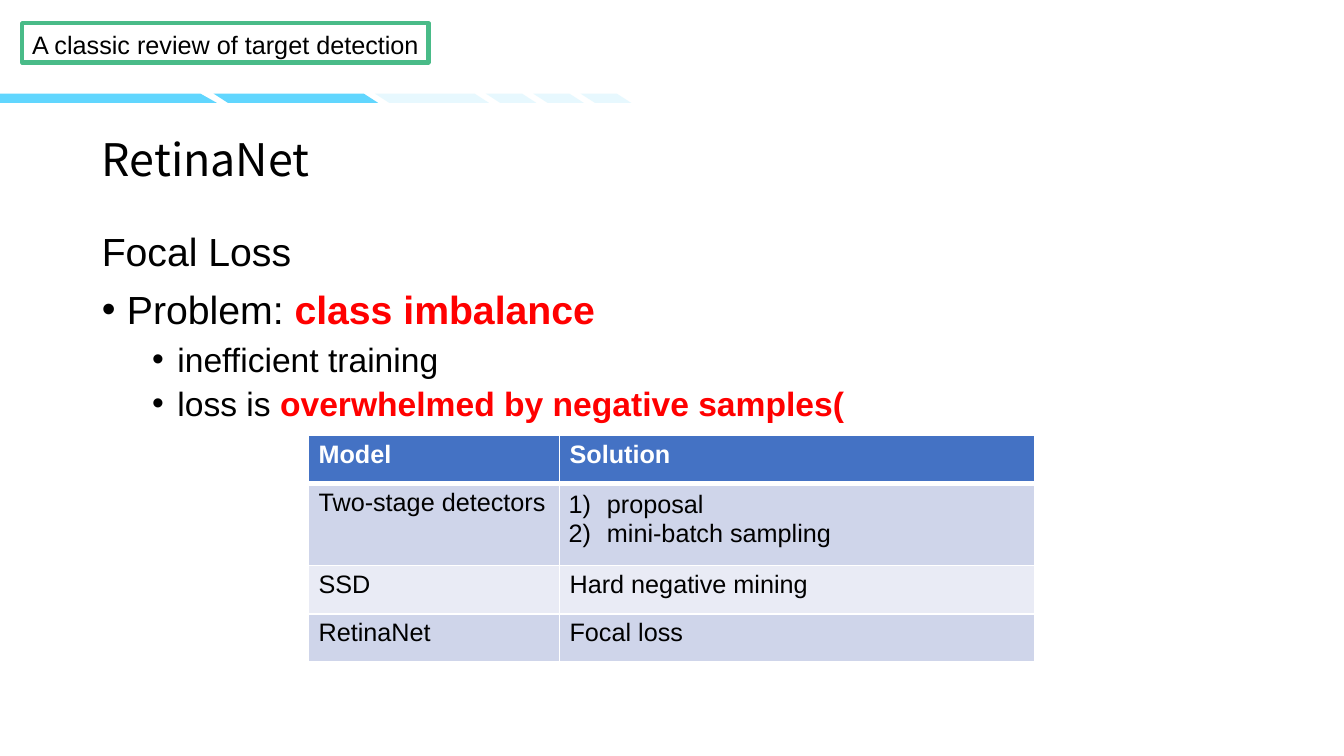
from lxml import etree
from pptx import Presentation
from pptx import util as u
from pptx.dml.color import RGBColor
from pptx.enum import shapes, text
from pptx.oxml import ns

COLORS = {
    "black": "000000", "white": "FFFFFF", "red": "FF0000", "sky": "61D6FE",
    "green": "49BB88", "header": "4472C4", "band": "CFD5EA", "light": "E9EBF5",
}
BAR_TOP, BAR_BOTTOM, SLANT = 0.93, 1.02, 0.14


def rgb(name):
    return RGBColor.from_string(COLORS[name])


def sub(parent, tag, **attributes):
    return etree.SubElement(parent, ns.qn(tag), attributes)


def style(run, size, color="black", bold=False, font="Arial"):
    run.font.name = font
    run.font.size = u.Pt(size)
    run.font.bold = bold
    run.font.color.rgb = rgb(color)


def indent(paragraph, margin, hanging=0, bullet=None, numbered=False):
    properties = paragraph._p.get_or_add_pPr()
    properties.set("marL", str(u.Inches(margin)))
    properties.set("indent", str(-u.Inches(hanging)))
    if bullet:
        sub(properties, "a:buFont", typeface="Arial")
        sub(properties, "a:buChar", char=bullet)
    elif numbered:
        sub(properties, "a:buAutoNum", type="arabicParenR")


def add_text_frame(slide, left, top, width, height, margins):
    box = slide.shapes.add_textbox(*map(u.Inches, (left, top, width, height)))
    frame = box.text_frame
    frame.word_wrap = True
    frame.auto_size = text.MSO_AUTO_SIZE.NONE
    (frame.margin_left, frame.margin_top,
     frame.margin_right, frame.margin_bottom) = map(u.Inches, margins)
    return frame


def add_line_of_text(slide, place, margins, words, size, font="Arial"):
    frame = add_text_frame(slide, *place, margins)
    frame.text = words
    style(frame.paragraphs[0].runs[0], size, font=font)


def add_bars(slide, bars, alpha=None):
    """Draw slanted bars, each given as top left, top right, bottom left, bottom right."""
    builder = None
    for top_left, top_right, bottom_left, bottom_right in bars:
        start = u.Inches(bottom_right), u.Inches(BAR_BOTTOM)
        if builder is None:
            builder = slide.shapes.build_freeform(*start)
        else:
            builder.move_to(*start)
        corners = ((top_right, BAR_TOP), (top_left, BAR_TOP), (bottom_left, BAR_BOTTOM))
        builder.add_line_segments([(u.Inches(x), u.Inches(y)) for x, y in corners])
    stripe = builder.convert_to_shape()
    stripe.shadow.inherit = False
    stripe.line.fill.background()
    stripe.fill.solid()
    stripe.fill.fore_color.rgb = rgb("sky")
    if alpha is not None:
        color = stripe._element.spPr.find(".//" + ns.qn("a:srgbClr"))
        sub(color, "a:alpha", val=str(alpha * 1000))


def slanted(left, right):
    return left, right, left + SLANT, right + SLANT


def add_header_frame(slide):
    frame = slide.shapes.add_shape(
        shapes.MSO_SHAPE.RECTANGLE, *map(u.Inches, (0.22, 0.23, 4.03, 0.39)))
    frame.shadow.inherit = False
    frame.fill.background()
    frame.line.color.rgb = rgb("green")
    frame.line.width = u.Pt(3)


def add_focal_loss_points(slide):
    points = [
        (0, 28, 0, [("Focal Loss", False)]),
        (0, 28, 8, [("Problem: ", False), ("class imbalance", True)]),
        (1, 24, 4.5, [("inefficient training", False)]),
        (1, 24, 3, [("loss is ", False), ("overwhelmed by negative samples(", True)]),
    ]
    frame = add_text_frame(slide, 1, 2.15, 8.5, 2.01, (0, 0.1, 0, 0))
    for number, (level, size, before, parts) in enumerate(points):
        paragraph = frame.add_paragraph() if number else frame.paragraphs[0]
        paragraph.level = level
        if number:
            indent(paragraph, 0.26 + 0.5 * level, 0.25, "•")
            paragraph.space_before = u.Pt(before)
        else:
            indent(paragraph, 0.01)
        for words, stressed in parts:
            run = paragraph.add_run()
            run.text = words
            style(run, size, "red" if stressed else "black", stressed)


def set_borders(cell, top, bottom):
    properties = cell._tc.get_or_add_tcPr()
    for side, width in (("L", 1.5), ("R", 1.5), ("T", top), ("B", bottom)):
        line = sub(properties, "a:ln" + side, w=str(u.Pt(width)))
        sub(sub(line, "a:solidFill"), "a:srgbClr", val=COLORS["white"])


def add_solutions_table(slide):
    rows = [
        ("Model", "Solution"),
        ("Two-stage detectors", "proposal\nmini-batch sampling"),
        ("SSD", "Hard negative mining"),
        ("RetinaNet", "Focal loss"),
    ]
    fills = ["header", "band", "light", "band"]
    heights = [0.48, 0.81, 0.48, 0.48]
    table = slide.shapes.add_table(
        len(rows), 2, *map(u.Inches, (3.06, 4.32, 7.2, sum(heights)))).table
    for column, width in zip(table.columns, (2.49, 4.71)):
        column.width = u.Inches(width)
    for r, (row, fill, height) in enumerate(zip(rows, fills, heights)):
        table.rows[r].height = u.Inches(height)
        for c, words in enumerate(row):
            cell = table.cell(r, c)
            set_borders(cell, 4.25 if r == 1 else 1.5, 4.25 if r == 0 else 1.5)
            cell.fill.solid()
            cell.fill.fore_color.rgb = rgb(fill)
            cell.margin_left = cell.margin_right = cell.margin_bottom = 0
            cell.margin_top = u.Inches(0.05)
            cell.text_frame.text = words
            steps = "\n" in words
            for paragraph in cell.text_frame.paragraphs:
                if steps:
                    indent(paragraph, 0.47, 0.38, numbered=True)
                    paragraph.line_spacing = u.Pt(21.2)
                else:
                    indent(paragraph, 0.1)
                style(paragraph.runs[0], 18, "white" if r == 0 else "black", r == 0)


def main():
    deck = Presentation()
    deck.slide_width, deck.slide_height = u.Inches(13.33), u.Inches(7.5)
    slide = deck.slides.add_slide(deck.slide_layouts[6])
    add_bars(slide, [(0, 1.99, 0, 2.15), slanted(2.12, 3.61)])
    small_bars = [slanted(4.82 + 0.47 * i, 5.18 + 0.47 * i) for i in range(3)]
    add_bars(slide, [slanted(3.72, 4.71)] + small_bars, alpha=15)
    add_header_frame(slide)
    add_line_of_text(slide, (0.22, 0.24, 4.78, 0.4), (0.1, 0.05, 0.1, 0.05),
                     "A classic review of target detection", 18)
    add_line_of_text(slide, (1, 1.3, 2.14, 0.56), (0.01, 0.01, 0, 0),
                     "RetinaNet", 32, "Noto Sans CJK SC")
    add_focal_loss_points(slide)
    add_solutions_table(slide)
    deck.save("out.pptx")


if __name__ == "__main__":
    main()
